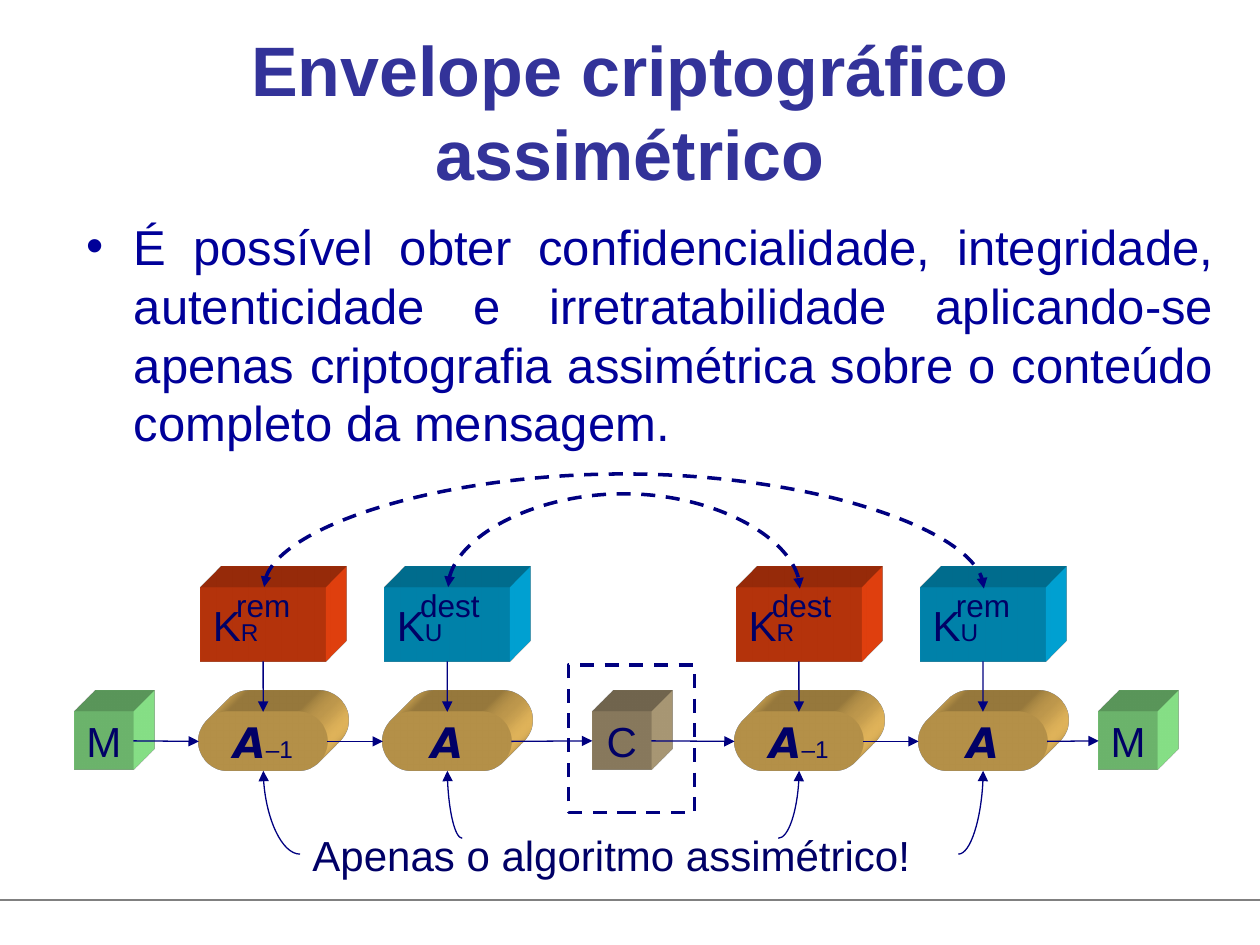
import pptx
import pptx.util
import pptx.dml.color
import pptx.enum.dml
import pptx.enum.shapes
import pptx.enum.text
import pptx.oxml
import pptx.oxml.ns
from pptx.util import Cm, Pt

INK = {"title": "333399", "body": "000099", "text": "000066", "line": "000080",
       "rule": "808080", "priv": "FF4810", "pub": "00B7EF", "algo": "FFCC66",
       "plain": "99FF99", "cipher": "C0AC84"}
KIND = pptx.enum.shapes.MSO_SHAPE
LINK = pptx.enum.shapes.MSO_CONNECTOR
ALIGN = pptx.enum.text.PP_ALIGN
MID = pptx.enum.text.MSO_ANCHOR.MIDDLE
TOP = pptx.enum.text.MSO_ANCHOR.TOP


def tint(name):
    """Return the named colour."""
    return pptx.dml.color.RGBColor.from_string(INK[name])


def node(tag, **attrs):
    """Make a drawing element with the given attributes."""
    item = pptx.oxml.parse_xml(f"<a:{tag} {pptx.oxml.ns.nsdecls('a')}/>")
    for key, val in attrs.items():
        item.set(key, str(val))
    return item


def write(shape, text, size=24, color="text", font="Arial", bold=False, ital=False,
          align=ALIGN.CENTER, anchor=MID, wrap=True, extra="", shift=0, bullet=False):
    """Put formatted text, and a raised or lowered part, in a shape."""
    frame = shape.text_frame
    frame.word_wrap, frame.vertical_anchor = wrap, anchor
    para = frame.paragraphs[0]
    para.alignment = align
    if bullet:
        props = para._p.get_or_add_pPr()
        props.set("marL", str(Cm(0.95)))
        props.set("indent", str(-Cm(0.95)))
        props.append(node("buFont", typeface="Arial"))
        props.append(node("buChar", char="•"))
    for part, base in ((text, 0), (extra, shift)):
        if part:
            run = para.add_run()
            run.text = part
            run.font.size, run.font.color.rgb = Pt(size), tint(color)
            run.font.name = "Arial" if base else font
            run.font.bold, run.font.italic = bold and not base, ital and not base
            if base:
                run._r.get_or_add_rPr().set("baseline", str(base))
    return shape


def label(slide, box, text, **form):
    """Add a text box."""
    return write(slide.shapes.add_textbox(*map(Cm, box)), text, **form)


def solid(slide, box, color, kind=KIND.RECTANGLE):
    """Add a shape extruded to the upper right."""
    shape = slide.shapes.add_shape(kind, *map(Cm, box))
    shape.shadow.inherit = False
    shape.fill.solid()
    shape.fill.fore_color.rgb = tint(color)
    shape.line.fill.background()
    if kind == KIND.ROUNDED_RECTANGLE:
        shape.adjustments[0] = 0.5
    scene = node("scene3d")
    scene.append(node("camera", prst="legacyObliqueTopRight"))
    scene.append(node("lightRig", rig="legacyFlat3", dir="b"))
    depth = node("sp3d", extrusionH=430200, prstMaterial="legacyMatte")
    hue = node("extrusionClr")
    hue.append(node("srgbClr", val=INK[color]))
    depth.append(hue)
    shape._element.spPr.extend([scene, depth])
    return shape


def wire(slide, ends, kind=LINK.STRAIGHT, color="line", width=0.75, tips=("tailEnd",)):
    """Add a connector with arrowheads."""
    line = slide.shapes.add_connector(kind, *map(Cm, ends))
    line.line.color.rgb, line.line.width = tint(color), Pt(width)
    for tip in tips:
        line.line._get_or_add_ln().append(node(tip, type="triangle"))
    line._element.spPr.append(node("effectLst"))
    return line


def join(slide, start, out, stop, into):
    """Join the sides of two shapes with an arrow."""
    line = wire(slide, (0, 0, 1, 1))
    line.begin_connect(start, out)
    line.end_connect(stop, into)


def hook(slide, ends):
    """Add a quarter-turn arrow."""
    line = wire(slide, ends, LINK.CURVE)
    line._element.spPr.prstGeom.set("prst", "curvedConnector2")


def arch(slide, left, right, base, rise):
    """Add a dashed arch with an arrowhead at each foot."""
    thin, mid, half = 0.03, (left + right) / 2, (right - left) / 2
    ends = (mid, base - half, mid + thin, base + half)
    line = wire(slide, ends, LINK.CURVE, width=2, tips=("headEnd", "tailEnd"))
    line.line.dash_style = pptx.enum.dml.MSO_LINE.DASH
    form = line._element.spPr.xfrm
    form.set("rot", str(270 * 60000))
    form.set("flipH", "1")
    guide = line._element.spPr.prstGeom.get_or_add_avLst()
    guide.append(node("gd", name="adj1", fmla=f"val {round(-rise / thin * 100000)}"))


def stage(slide, left, top, key, owner, power):
    """Add a key above its algorithm and return the algorithm."""
    color = "priv" if key == "R" else "pub"
    lock = solid(slide, (left + 0.03, top, 2.53, 1.48), color)
    write(lock, "K", extra=key, shift=-25, align=ALIGN.LEFT)
    algo = solid(slide, (left, top + 2.5, 2.59, 1.19), "algo", KIND.ROUNDED_RECTANGLE)
    write(algo, "A", font="DejaVu Sans", bold=True, ital=True, wrap=False,
          extra=power, shift=30)
    label(slide, (left + 0.5, top - 0.16, 2.1, 1.02), owner, size=18,
          align=ALIGN.LEFT, anchor=TOP)
    join(slide, lock, 2, algo, 0)
    return algo


def block(slide, left, top, text, color):
    """Add a message block."""
    return write(solid(slide, (left, top, 1.19, 1.17), color), text, wrap=False)


def chain(slide, left, top):
    """Add the row from message to message with its arches and caption."""
    row = top + 2.5
    steps = [(2.51, "R", "rem", "–1"), (6.22, "U", "dest", ""),
             (13.31, "R", "dest", "–1"), (17.02, "U", "rem", "")]
    algos = [stage(slide, left + gap, top, *rest) for gap, *rest in steps]
    frame = slide.shapes.add_shape(KIND.RECTANGLE, *map(Cm, (left + 9.96, top + 1.56, 2.54, 2.97)))
    frame.shadow.inherit = False
    frame.fill.background()
    frame.line.color.rgb, frame.line.width = tint("line"), Pt(2)
    frame.line.dash_style = pptx.enum.dml.MSO_LINE.DASH
    first, code, last = [block(slide, left + gap, row, text, color) for gap, text, color in
                         ((0, "M", "plain"), (10.44, "C", "cipher"), (20.65, "M", "plain"))]
    path = [first, *algos[:2], code, *algos[2:], last]
    for start, stop in zip(path, path[1:]):
        join(slide, start, 3, stop, 1)
    mids = [left + gap + 1.3 for gap, *_ in steps]
    arch(slide, mids[1], mids[2], top, 1.88)
    arch(slide, mids[0], mids[3], top, 2.28)
    label(slide, (left + 4.55, top + 4.74, 13.26, 1.27), "Apenas o algoritmo assimétrico!",
          align=ALIGN.LEFT, anchor=TOP)
    for mid, side, drop in zip(mids, (0.74, 0.3, -0.42, -0.5), (1.68, 1.36, 1.36, 1.68)):
        hook(slide, (mid + side, row + 1.19 + drop, mid, row + 1.19))


def main():
    """Build and save the slide."""
    deck = pptx.Presentation()
    deck.slide_width, deck.slide_height = Cm(25.4), Cm(19.05)
    slide = deck.slides.add_slide(deck.slide_layouts[6])
    wire(slide, (0, 18.14, 25.4, 18.14), color="rule", tips=())
    label(slide, (1.9, 0.64, 21.6, 3.18), "Envelope criptográfico assimétrico",
          size=40, color="title", bold=True)
    label(slide, (1.5, 4.24, 23.2, 5.28),
          "É possível obter confidencialidade, integridade, autenticidade e "
          "irretratabilidade aplicando-se apenas criptografia assimétrica sobre "
          "o conteúdo completo da mensagem.",
          size=28, color="body", align=ALIGN.JUSTIFY, anchor=TOP, bullet=True)
    chain(slide, 1.5, 11.85)
    deck.save("out.pptx")


if __name__ == "__main__":
    main()
